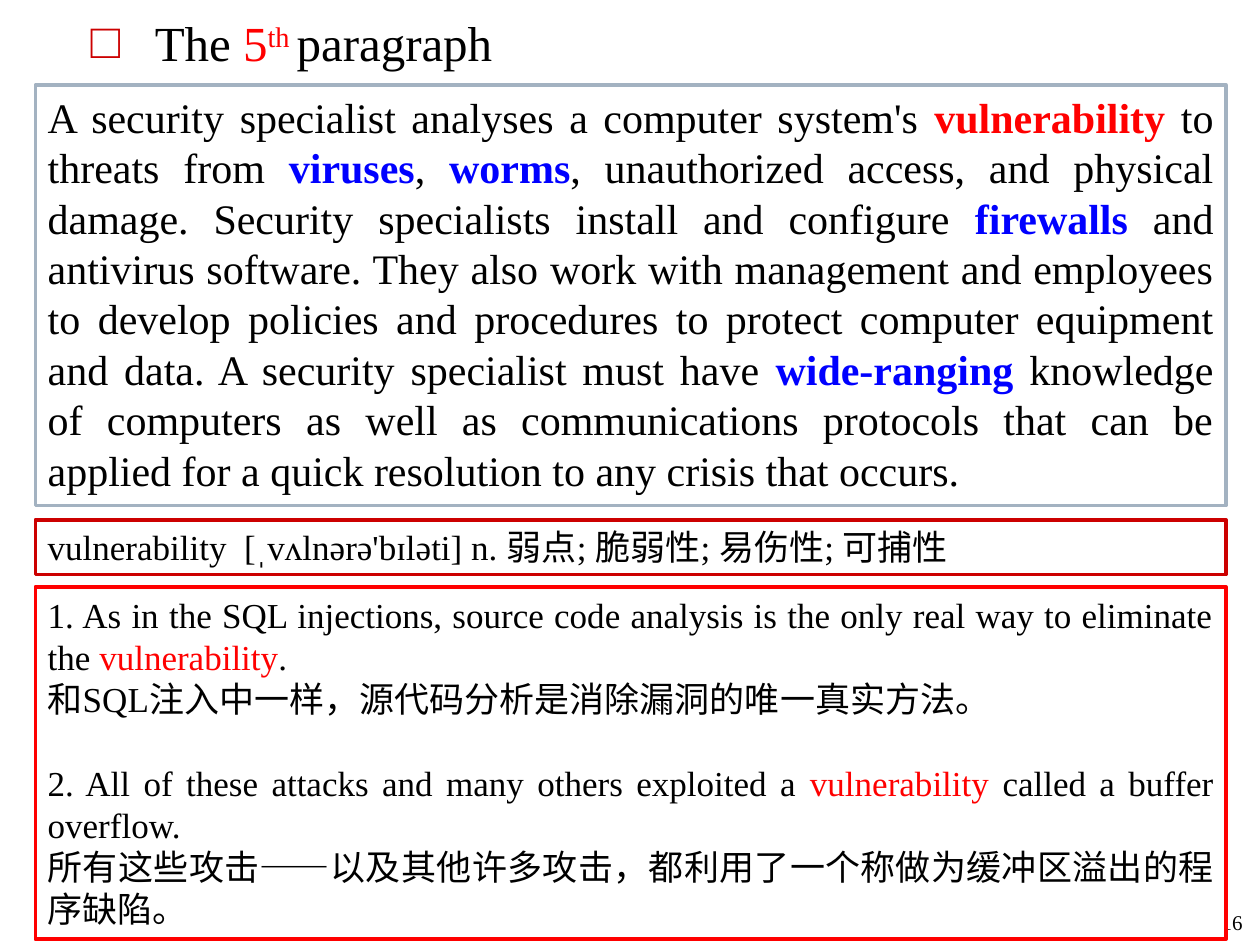
import pptx
import pptx.util
import pptx.dml.color
import pptx.enum.shapes
import pptx.enum.text
import pptx.oxml
import pptx.oxml.ns

COLORS = {"text": "000000", "paper": "FFFFFF", "red": "FF0000", "blue": "0000FF",
          "crimson": "CC0000", "slate": "A3B2C1"}
FONT = "Times New Roman"
WIDTH, HEIGHT = 10, 7.5
LEFT, BOX_WIDTH = 0.028, 0.945  # shares of the slide width, common to the framed boxes
ALIGN = pptx.enum.text.PP_ALIGN

RED = {"color": "red"}
KEY_RED = {"color": "red", "bold": True}
KEY_BLUE = {"color": "blue", "bold": True}


def rgb(name):
    return pptx.dml.color.RGBColor.from_string(COLORS[name])


def place(box):
    """Turn shares of the slide's size into lengths."""
    return [pptx.util.Inches(share * side)
            for share, side in zip(box, (WIDTH, HEIGHT, WIDTH, HEIGHT))]


def add_text(paragraph, text, size=20, color="text", bold=False, raised=False):
    run = paragraph.add_run()
    run.text = text
    run.font.name = FONT
    run.font.size = pptx.util.Pt(size)
    run.font.bold = bold
    run.font.color.rgb = rgb(color)
    if raised:
        run._r.get_or_add_rPr().set("baseline", "30000")


def fill_paragraph(paragraph, parts, align=ALIGN.LEFT, before=0, size=20):
    paragraph.alignment = align
    paragraph.space_before = pptx.util.Pt(before)
    for text, style in parts:
        add_text(paragraph, text, size=size, **style)


def add_bullet(paragraph, char, color, indent):
    props = paragraph._p.get_or_add_pPr()
    props.set("marL", str(pptx.util.Inches(indent)))
    props.set("indent", str(-pptx.util.Inches(indent)))
    ns = pptx.oxml.ns.nsdecls("a")
    for xml in (f'<a:buClr {ns}><a:srgbClr val="{COLORS[color]}"/></a:buClr>',
                f'<a:buFont {ns} typeface="{FONT}"/>',
                f'<a:buChar {ns} char="{char}"/>'):
        props.append(pptx.oxml.parse_xml(xml))


def heading(slide, box):
    frame = slide.shapes.add_textbox(*place(box)).text_frame
    frame.word_wrap = True
    title = frame.paragraphs[0]
    fill_paragraph(title, [("The ", {}), ("5", RED), ("th ", {"color": "red", "raised": True}),
                           ("paragraph", {})], before=2.8, size=28)
    add_bullet(title, "□", "crimson", 0.51)


def page_number(slide, box):
    frame = slide.shapes.add_textbox(*place(box)).text_frame
    frame.word_wrap = True
    frame.vertical_anchor = pptx.enum.text.MSO_ANCHOR.BOTTOM
    fill_paragraph(frame.paragraphs[0], [("16", {})], align=ALIGN.RIGHT, size=12)


def framed_box(slide, box, border, paragraphs, align=ALIGN.JUSTIFY, size=20):
    """Bordered box; paragraphs are (space before, parts) pairs."""
    panel = slide.shapes.add_shape(pptx.enum.shapes.MSO_SHAPE.RECTANGLE, *place(box))
    panel.shadow.inherit = False
    panel.fill.solid()
    panel.fill.fore_color.rgb = rgb("paper")
    panel.line.color.rgb = rgb(border)
    panel.line.width = pptx.util.Pt(2)
    frame = panel.text_frame
    frame.word_wrap = True
    frame.vertical_anchor = pptx.enum.text.MSO_ANCHOR.TOP
    for index, (before, parts) in enumerate(paragraphs):
        paragraph = frame.add_paragraph() if index else frame.paragraphs[0]
        fill_paragraph(paragraph, parts, align, before, size)


PASSAGE = [(0, [
    ("A security specialist analyses a computer system's ", {}),
    ("vulnerability", KEY_RED),
    (" to threats from ", {}),
    ("viruses", KEY_BLUE),
    (", ", {}),
    ("worms", KEY_BLUE),
    (", unauthorized access, and physical damage. Security specialists install "
     "and configure ", {}),
    ("firewalls", KEY_BLUE),
    (" and antivirus software. They also work with management and employees to develop "
     "policies and procedures to protect computer equipment and data. A security "
     "specialist must have ", {}),
    ("wide-ranging", KEY_BLUE),
    (" knowledge of computers as well as communications protocols that can be applied "
     "for a quick resolution to any crisis that occurs.", {}),
])]
DEFINITION = [(0, [("vulnerability  [ˌvʌlnərə'bɪləti] n. 弱点; 脆弱性; 易伤性; 可捕性", {})])]
EXAMPLES = [
    (0, [("1. As in the SQL injections, source code analysis is the only real way "
          "to eliminate the ", {}), ("vulnerability", RED), (". ", {})]),
    (0, [("和SQL注入中一样，源代码分析是消除漏洞的唯一真实方法。", {})]),
    (24, [("2. All of these attacks and many others exploited a ", {}),
          ("vulnerability", RED), (" called a buffer overflow. ", {})]),
    (0, [("所有这些攻击――以及其他许多攻击，都利用了一个称做为缓冲区溢出的程序缺陷。", {})]),
]


def main():
    deck = pptx.Presentation()
    deck.slide_width = pptx.util.Inches(WIDTH)
    deck.slide_height = pptx.util.Inches(HEIGHT)
    slide = deck.slides.add_slide(deck.slide_layouts[6])

    # Heading and page number
    heading(slide, (0.062, 0.007, 0.875, 0.08))
    page_number(slide, (0.937, 0.92, 0.059, 0.076))

    # Passage, word definition, example sentences
    framed_box(slide, (LEFT, 0.09, BOX_WIDTH, 0.445), "slate", PASSAGE, size=24)
    framed_box(slide, (LEFT, 0.55, BOX_WIDTH, 0.058), "crimson", DEFINITION, align=ALIGN.LEFT)
    framed_box(slide, (LEFT, 0.621, BOX_WIDTH, 0.373), "red", EXAMPLES)

    deck.save("out.pptx")


if __name__ == "__main__":
    main()
